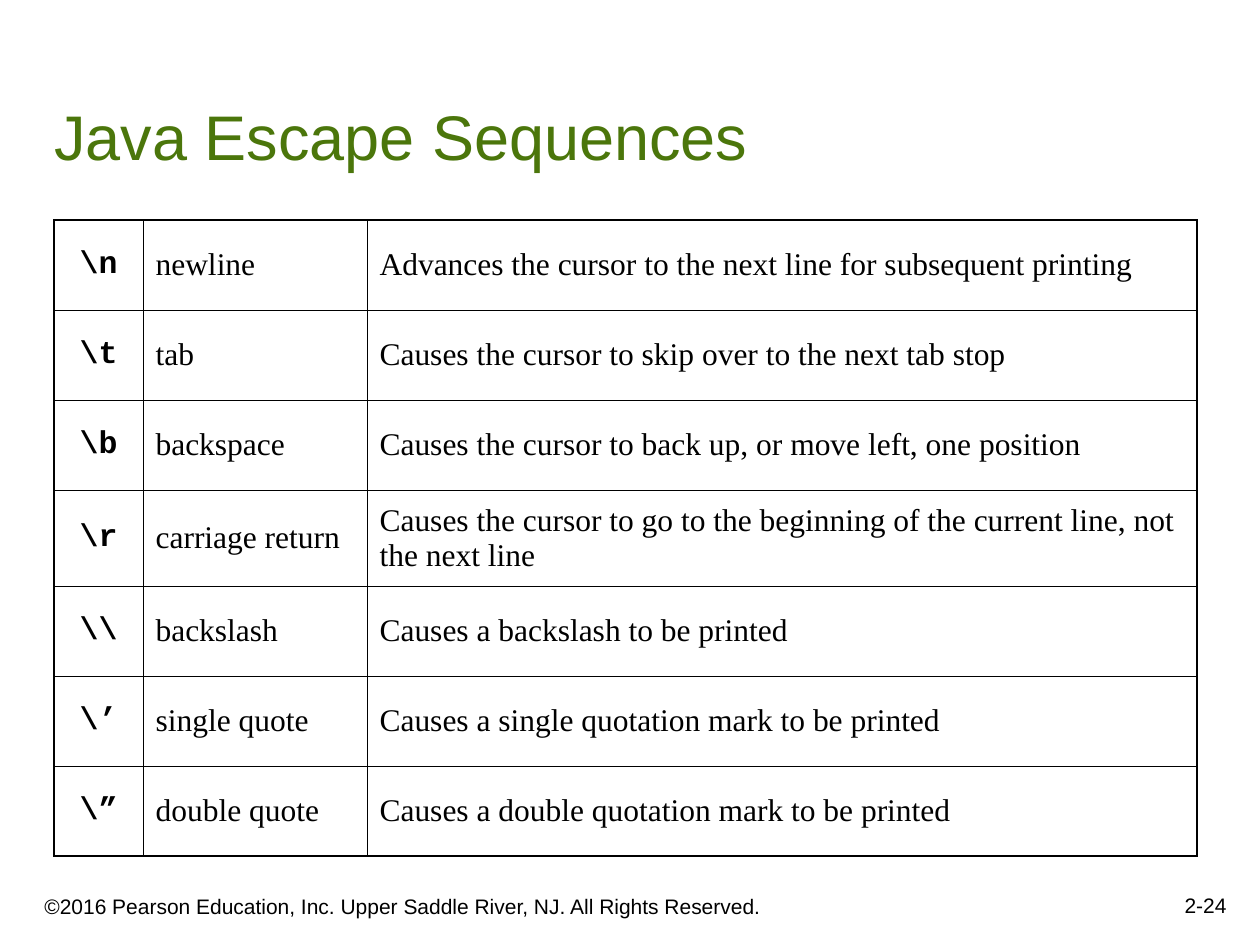
from lxml.etree import SubElement
from pptx import Presentation
from pptx.dml.color import RGBColor
from pptx.enum.text import MSO_ANCHOR as Anchor, PP_ALIGN as Align
from pptx.oxml.ns import qn
from pptx.util import Emu, Pt

COLORS = {"text": "000000", "title": "4B760B", "border": "000000"}
TITLE = "Java Escape Sequences"
COPYRIGHT = "©2016 Pearson Education, Inc. Upper Saddle River, NJ. All Rights Reserved."
PAGE_NUMBER = "2-24"
ESCAPES = [
    (r"\n", "newline", "Advances the cursor to the next line for subsequent printing"),
    (r"\t", "tab", "Causes the cursor to skip over to the next tab stop"),
    (r"\b", "backspace", "Causes the cursor to back up, or move left, one position"),
    (r"\r", "carriage return",
     "Causes the cursor to go to the beginning of the current line, not the next line"),
    (r"\\", "backslash", "Causes a backslash to be printed"),
    (r"\’", "single quote", "Causes a single quotation mark to be printed"),
    (r"\”", "double quote", "Causes a double quotation mark to be printed"),
]
COLUMN_FORMATS = [
    {"font": "Courier New", "bold": True, "align": Align.CENTER},
    {"font": "Times New Roman"},
    {"font": "Times New Roman"},
]
TABLE_LEFT, TABLE_TOP = 54, 220
COLUMN_WIDTHS = [89, 224, 830]
ROW_HEIGHT, TWO_LINE_HEIGHT = 90, 96
TWO_LINE_ROW = 3
THIN, THICK = Pt(0.45), Pt(1.08)


def px(value):
    return Emu(round(value * 914400 / 126))


def write(frame, text, font="Arial", size=12, color="text", bold=False, align=Align.LEFT):
    paragraph = frame.paragraphs[0]
    paragraph.alignment = align
    run = paragraph.add_run()
    run.text = text
    run.font.name = font
    run.font.size = Pt(size)
    run.font.bold = bold
    run.font.color.rgb = RGBColor.from_string(COLORS[color])


def add_text(slide, text, left, top, width, height, **text_format):
    frame = slide.shapes.add_textbox(px(left), px(top), px(width), px(height)).text_frame
    frame.word_wrap = True
    frame.vertical_anchor = Anchor.BOTTOM
    write(frame, text, **text_format)


def set_borders(cell, widths):
    """Draw the left, right, top and bottom lines of a cell."""
    properties = cell._tc.get_or_add_tcPr()
    for side, width in zip("LRTB", widths):
        line = SubElement(properties, qn(f"a:ln{side}"), w=str(width))
        fill = SubElement(line, qn("a:solidFill"))
        SubElement(fill, qn("a:srgbClr"), val=COLORS["border"])


def add_escape_table(slide):
    heights = [ROW_HEIGHT] * len(ESCAPES)
    heights[TWO_LINE_ROW] = TWO_LINE_HEIGHT
    table = slide.shapes.add_table(
        len(ESCAPES), len(COLUMN_WIDTHS), px(TABLE_LEFT), px(TABLE_TOP),
        px(sum(COLUMN_WIDTHS)), px(sum(heights))).table
    table.first_row = table.horz_banding = False
    for column, width in zip(table.columns, COLUMN_WIDTHS):
        column.width = px(width)
    last_row, last_column = len(ESCAPES) - 1, len(COLUMN_WIDTHS) - 1
    for r, (row, height) in enumerate(zip(ESCAPES, heights)):
        table.rows[r].height = px(height)
        for c, (text, text_format) in enumerate(zip(row, COLUMN_FORMATS)):
            cell = table.cell(r, c)
            cell.vertical_anchor = Anchor.MIDDLE
            write(cell.text_frame, text, size=18, **text_format)
            outer = (c == 0, c == last_column, r == 0, r == last_row)
            set_borders(cell, [THICK if edge else THIN for edge in outer])
            cell.fill.background()


def main():
    presentation = Presentation()
    presentation.slide_width, presentation.slide_height = px(1260), px(945)
    slide = presentation.slides.add_slide(presentation.slide_layouts[6])
    add_text(slide, COPYRIGHT, 32, 872, 766, 53)
    add_text(slide, PAGE_NUMBER, 976, 861, 263, 63, align=Align.RIGHT)
    add_text(slide, TITLE, 42, 42, 1187, 137, size=36, color="title")
    add_escape_table(slide)
    presentation.save("out.pptx")


if __name__ == "__main__":
    main()
